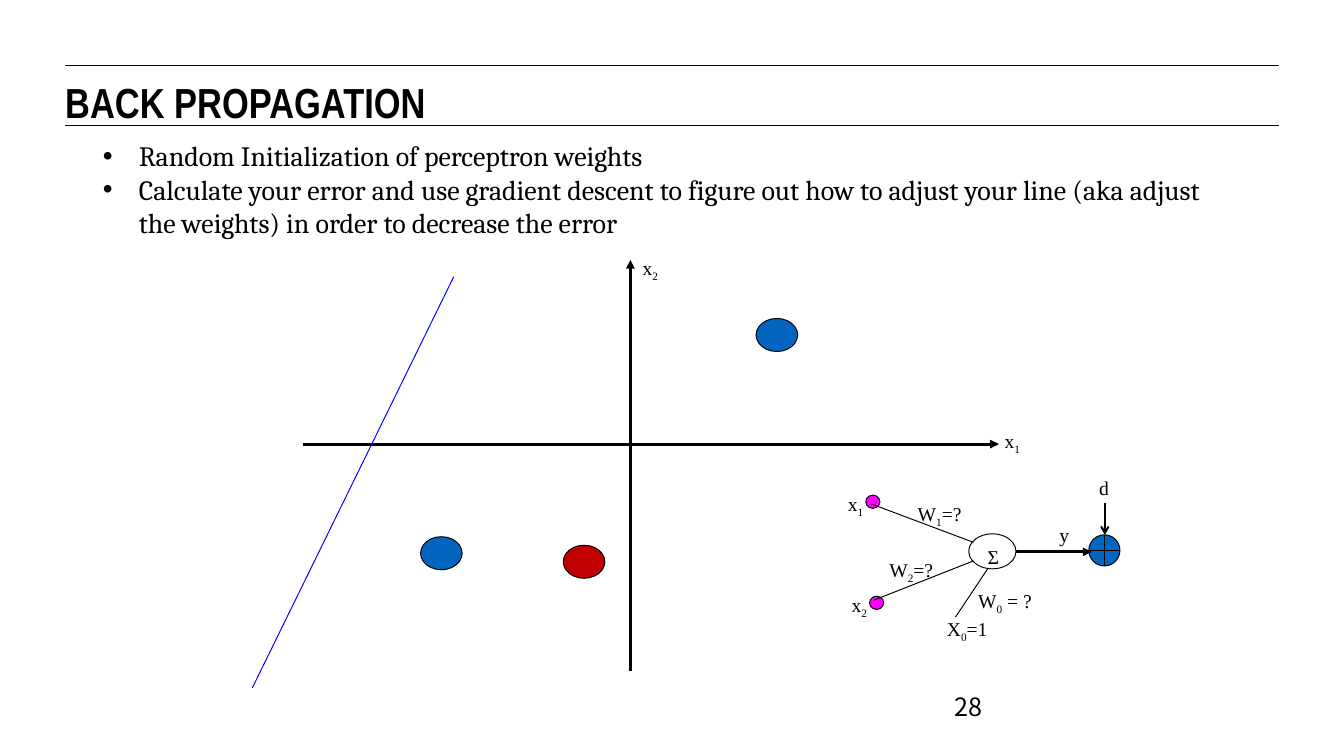
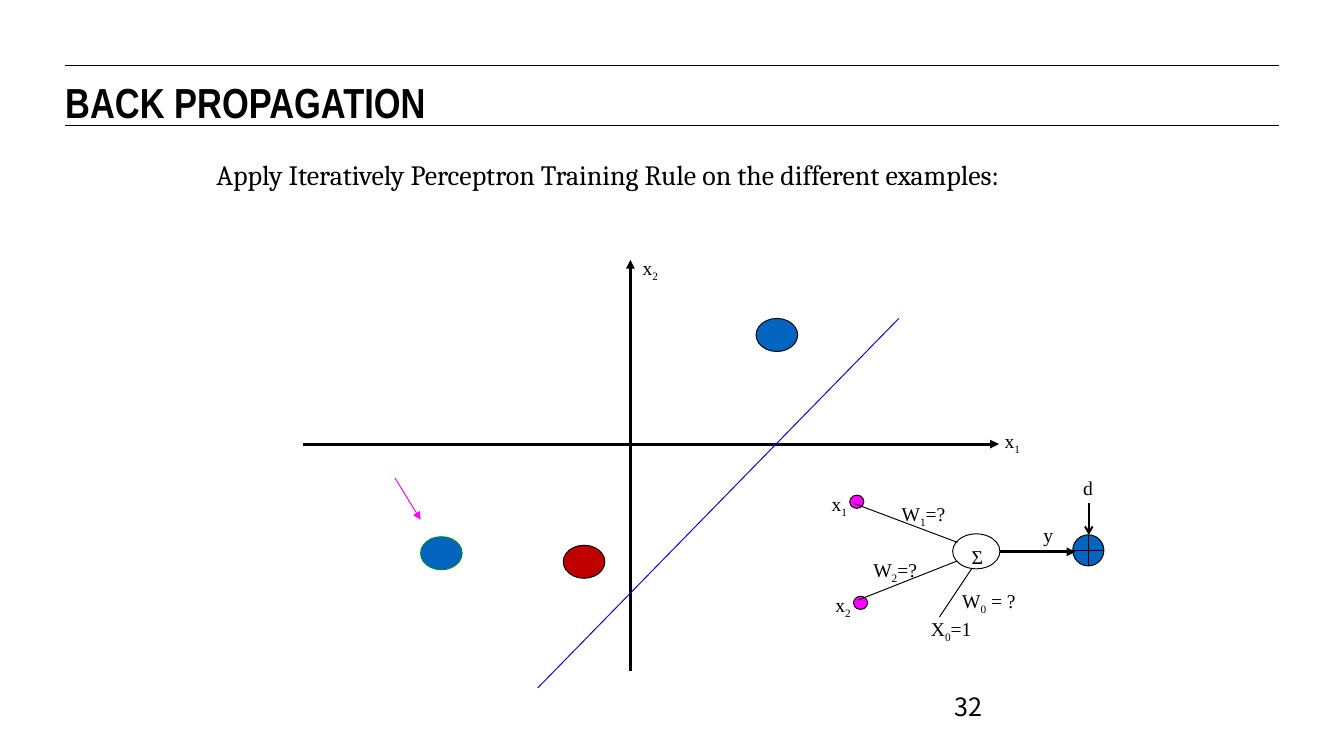
from lxml import etree
from pptx import Presentation
from pptx.dml.color import RGBColor
from pptx.enum.shapes import MSO_CONNECTOR, MSO_SHAPE
from pptx.oxml.ns import qn
from pptx.util import Inches, Pt

BLACK = RGBColor(0x00, 0x00, 0x00)
BLUE = RGBColor(0x03, 0x65, 0xC0)
RED = RGBColor(0xC0, 0x00, 0x00)
GREEN = RGBColor(0x00, 0x88, 0x2B)
MAGENTA = RGBColor(0xFF, 0x00, 0xFF)
LINE_BLUE = RGBColor(0x00, 0x00, 0xFF)

WIDTH, HEIGHT = 14.22, 7.99
MARGIN = 0.69
RULES = (0.69, 1.33)
INSET = (0.11, 0.05)
POINT_SIZE = (0.44, 0.35)
INPUT_SIZE = (0.15, 0.14)
LABEL = dict(size=14.9, font="Times New Roman", wrap=False)
BODY = dict(size=21.3, font="Cambria")
TITLE = "BACK PROPAGATION"

# Content: each slide's text, separating line and first-point outline
SLIDES = [
    dict(number="28",
         text=["Random Initialization of perceptron weights",
               "Calculate your error and use gradient descent to figure out how "
               "to adjust your line (aka adjust the weights) in order to decrease "
               "the error"],
         box=(0.98, 1.42, 11.97, 1.18), bullet=True,
         separator=((4.8, 2.93), (2.67, 7.28)),
         outline=BLACK, pointer=None, shift=0),
    dict(number="32",
         text=["Apply Iteratively Perceptron Training Rule on the different "
               "examples:"],
         box=(2.18, 1.62, 10.03, 0.47), bullet=False,
         separator=((9.51, 3.37), (5.69, 7.28)),
         outline=GREEN, pointer=((4.18, 5.06), (4.45, 5.5)), shift=-0.17),
]

# Plot: axes with their labels, and data points; "_" lowers the next character
AXES = [((6.67, 7.1), (6.67, 2.75)), ((3.21, 4.7), (10.57, 4.7))]
AXIS_LABELS = [("x_1", 10.52, 4.49, 0.39), ("x_2", 6.69, 2.66, 0.39)]
POINTS = [(5.96, 5.77, RED), (8, 3.37, BLUE)]
FIRST_POINT = (4.45, 5.68)

# Neuron: inputs, links (start, end, weight, arrowhead) and labels
INPUTS = [(9.16, 5.24), (9.2, 6.31)]
LINKS = [
    ((9.21, 5.33), (10.3, 5.74), 0.75, None),
    ((9.25, 6.35), (10.29, 5.94), 0.75, None),
    ((10.11, 6.53), (10.45, 6.02), 0.75, None),
    ((10.75, 5.84), (11.55, 5.84), 2.25, "triangle"),
    ((11.69, 5.32), (11.69, 5.66), 1.5, "arrow"),
]
NEURON_LABELS = [
    ("x_1", 8.86, 5.16, 0.39), ("x_2", 8.9, 6.23, 0.39),
    ("X_0=1", 9.91, 6.48, 0.66), ("W_0 = ?", 10.24, 6.18, 0.8),
    ("W_1=?", 9.6, 5.26, 0.69), ("W_2=?", 9.3, 5.86, 0.69),
    ("Σ", 10.34, 5.72, 0.34), ("y", 11.1, 5.49, 0.32), ("d", 11.52, 4.99, 0.32),
]


def split_subscripts(text):
    """Yield (text, is_subscript) pieces."""
    head, *rest = text.split("_")
    yield head, False
    for part in rest:
        yield part[0], True
        if part[1:]:
            yield part[1:], False


def add_text(s, text, box, size, font, bold=False, wrap=True, bullet=False,
             inset=INSET):
    paragraphs = [text] if isinstance(text, str) else text
    tf = s.shapes.add_textbox(*map(Inches, box)).text_frame
    tf.word_wrap = wrap
    tf.margin_left = tf.margin_right = Inches(inset[0])
    tf.margin_top = tf.margin_bottom = Inches(inset[1])
    for i, content in enumerate(paragraphs):
        p = tf.paragraphs[0] if i == 0 else tf.add_paragraph()
        if bullet:
            pPr = p._p.get_or_add_pPr()
            pPr.set("marL", str(Inches(0.38)))
            pPr.set("indent", str(-Inches(0.38)))
            etree.SubElement(pPr, qn("a:buFont")).set("typeface", "Arial")
            etree.SubElement(pPr, qn("a:buChar")).set("char", "•")
        for piece, lowered in split_subscripts(content):
            r = p.add_run()
            r.text = piece
            r.font.size, r.font.name, r.font.bold = Pt(size), font, bold
            r.font.color.rgb = BLACK
            rPr = r._r.get_or_add_rPr()
            etree.SubElement(rPr, qn("a:ea")).set("typeface", font)
            if lowered:
                rPr.set("baseline", "-25000")


def add_line(s, start, end, weight=0.75, color=BLACK, head=None):
    c = s.shapes.add_connector(MSO_CONNECTOR.STRAIGHT,
                               *map(Inches, (*start, *end)))
    c.line.width = Pt(weight)
    c.line.color.rgb = color
    if head:
        etree.SubElement(c.line._get_or_add_ln(), qn("a:tailEnd")).set("type", head)
    etree.SubElement(c._element.spPr, qn("a:effectLst"))


def add_node(s, at, size, fill=None, outline=BLACK, kind=MSO_SHAPE.OVAL):
    sp = s.shapes.add_shape(kind, *map(Inches, (*at, *size)))
    sp.shadow.inherit = False
    if fill is None:
        sp.fill.background()
    else:
        sp.fill.solid()
        sp.fill.fore_color.rgb = fill
    sp.line.color.rgb = outline
    sp.line.width = Pt(0.75)


def add_labels(s, labels, dx=0):
    for text, x, y, w in labels:
        add_text(s, text, (x + dx, y, w, 0.36), **LABEL)


def add_frame(s, number):
    for y in RULES:
        add_line(s, (MARGIN, y), (WIDTH - MARGIN, y))
    add_text(s, TITLE, (MARGIN, 0.81, WIDTH - 2 * MARGIN, 0.47), size=32,
             font="Arial Narrow", bold=True, inset=(0, 0))
    add_text(s, number, (9.99, 7.27, 2.22, 0.53), size=19.2,
             font="Noto Sans CJK KR")


def add_plot(s, separator, outline, pointer):
    for start, end in AXES:
        add_line(s, start, end, 2.25, head="triangle")
    add_labels(s, AXIS_LABELS)
    for x, y, fill in POINTS:
        add_node(s, (x, y), POINT_SIZE, fill)
    add_node(s, FIRST_POINT, POINT_SIZE, BLUE, outline)
    add_line(s, *separator, color=LINE_BLUE)
    if pointer:
        add_line(s, *pointer, color=MAGENTA, head="triangle")


def add_neuron(s, dx):
    for x, y in INPUTS:
        add_node(s, (x + dx, y), INPUT_SIZE, MAGENTA)
    add_node(s, (10.25 + dx, 5.65), (0.5, 0.37))
    add_node(s, (11.52 + dx, 5.66), (0.33, 0.33), BLUE, kind=MSO_SHAPE.FLOWCHART_OR)
    for (x1, y1), (x2, y2), weight, head in LINKS:
        add_line(s, (x1 + dx, y1), (x2 + dx, y2), weight, head=head)
    add_labels(s, NEURON_LABELS, dx)


def main():
    prs = Presentation()
    prs.slide_width, prs.slide_height = Inches(WIDTH), Inches(HEIGHT)
    for data in SLIDES:
        s = prs.slides.add_slide(prs.slide_layouts[6])
        add_frame(s, data["number"])
        add_text(s, data["text"], data["box"], bullet=data["bullet"], **BODY)
        add_plot(s, data["separator"], data["outline"], data["pointer"])
        add_neuron(s, data["shift"])
    prs.save("out.pptx")


if __name__ == "__main__":
    main()
